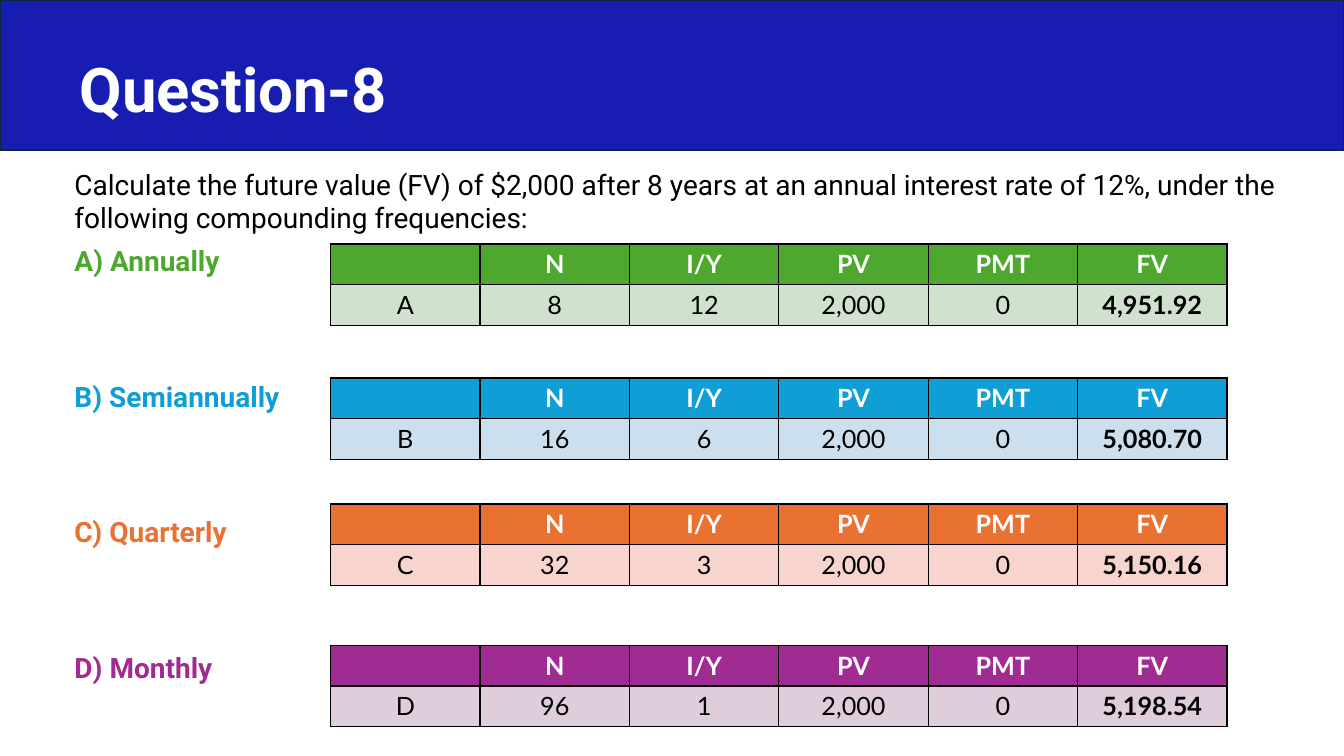
from lxml import etree
from pptx import Presentation
from pptx import util as u
from pptx.dml.color import RGBColor
from pptx.enum import shapes, text
from pptx.oxml.ns import qn

WHITE = RGBColor(0xFF, 0xFF, 0xFF)
BLACK = RGBColor(0, 0, 0)
NAVY = RGBColor(0x17, 0x1D, 0xB0)
NAVY_EDGE = RGBColor(0x09, 0x2A, 0x39)
GREEN, PALE_GREEN = RGBColor(0x4E, 0xA7, 0x2E), RGBColor(0xD0, 0xE1, 0xCD)
BLUE, PALE_BLUE = RGBColor(0x0F, 0x9E, 0xD5), RGBColor(0xCC, 0xDF, 0xEF)
ORANGE, PALE_ORANGE = RGBColor(0xE9, 0x71, 0x32), RGBColor(0xF7, 0xD5, 0xCE)
PURPLE, PALE_PURPLE = RGBColor(0xA0, 0x2B, 0x93), RGBColor(0xDF, 0xCD, 0xDC)

TITLE = "Question-8"
QUESTION = ("Calculate the future value (FV) of $2,000 after 8 years at an annual "
            "interest rate of 12%, under the following compounding frequencies:")
HEADER = ("", "N", "I/Y", "PV", "PMT", "FV")
CASES = [
    ("A) Annually", GREEN, PALE_GREEN, 2.42, ("A", "8", "12", "2,000", "0", "4,951.92")),
    ("B) Semiannually", BLUE, PALE_BLUE, 3.75, ("B", "16", "6", "2,000", "0", "5,080.70")),
    ("C) Quarterly", ORANGE, PALE_ORANGE, 5, ("C", "32", "3", "2,000", "0", "5,150.16")),
    ("D) Monthly", PURPLE, PALE_PURPLE, 6.4, ("D", "96", "1", "2,000", "0", "5,198.54")),
]
TABLE_LEFT, TABLE_WIDTH, ROW_HEIGHT = 3.28, 8.89, 0.405
FIRST_GAP, LABEL_GAP = 6.5, 72.8


def add_run(p, words, font, size, color, bold=False):
    r = p.add_run()
    r.text = words
    r.font.name, r.font.size, r.font.bold = font, u.Pt(size), bold
    r.font.color.rgb = color


def add_textbox(s, left, top, width, height, anchor):
    tf = s.shapes.add_textbox(*map(u.Inches, (left, top, width, height))).text_frame
    tf.word_wrap = True
    tf.vertical_anchor = anchor
    return tf


def set_borders(cell):
    tc_pr = cell._tc.get_or_add_tcPr()
    for place, side in enumerate(("lnL", "lnR", "lnT", "lnB")):
        ln = etree.Element(qn(f"a:{side}"), w=str(u.Pt(1)))
        fill = etree.SubElement(ln, qn("a:solidFill"))
        etree.SubElement(fill, qn("a:srgbClr"), val=str(BLACK))
        tc_pr.insert(place, ln)


def fill_cell(cell, words, fill, color, bold):
    cell.fill.solid()
    cell.fill.fore_color.rgb = fill
    cell.vertical_anchor = text.MSO_ANCHOR.TOP
    set_borders(cell)
    p = cell.text_frame.paragraphs[0]
    p.alignment = text.PP_ALIGN.CENTER
    p.font.size = u.Pt(18)
    if words:
        add_run(p, words, "Lato", 18, color, bold)


def add_case_table(s, top, strong, pale, values):
    frame = s.shapes.add_table(2, len(HEADER), u.Inches(TABLE_LEFT), u.Inches(top),
                               u.Inches(TABLE_WIDTH), u.Inches(2 * ROW_HEIGHT))
    table = frame.table
    for col, (name, value) in enumerate(zip(HEADER, values)):
        fill_cell(table.cell(0, col), name, strong, WHITE, True)
        fill_cell(table.cell(1, col), value, pale, BLACK, name == "FV")


def main():
    prs = Presentation()
    prs.slide_width, prs.slide_height = u.Inches(13.33), u.Inches(7.5)
    s = prs.slides.add_slide(prs.slide_layouts[6])

    banner = s.shapes.add_shape(shapes.MSO_SHAPE.RECTANGLE, 0, 0,
                                prs.slide_width, u.Inches(1.49))
    banner.shadow.inherit = False
    banner.fill.solid()
    banner.fill.fore_color.rgb = NAVY
    banner.line.color.rgb = NAVY_EDGE
    banner.line.width = u.Pt(1.5)

    p = add_textbox(s, 0.69, 0.29, 12.28, 1.25, text.MSO_ANCHOR.MIDDLE).paragraphs[0]
    p.line_spacing = 0.9
    add_run(p, TITLE, "Roboto", 44, WHITE, True)

    tf = add_textbox(s, 0.64, 1.61, 12.27, 5.6, text.MSO_ANCHOR.TOP)
    add_run(tf.paragraphs[0], QUESTION, "Roboto", 20, BLACK)
    for i, (label, strong, pale, top, values) in enumerate(CASES):
        p = tf.add_paragraph()
        p.space_before = u.Pt(LABEL_GAP if i else FIRST_GAP)
        add_run(p, label, "Roboto", 20, strong, True)
        add_case_table(s, top, strong, pale, values)

    prs.save("out.pptx")


if __name__ == "__main__":
    main()
